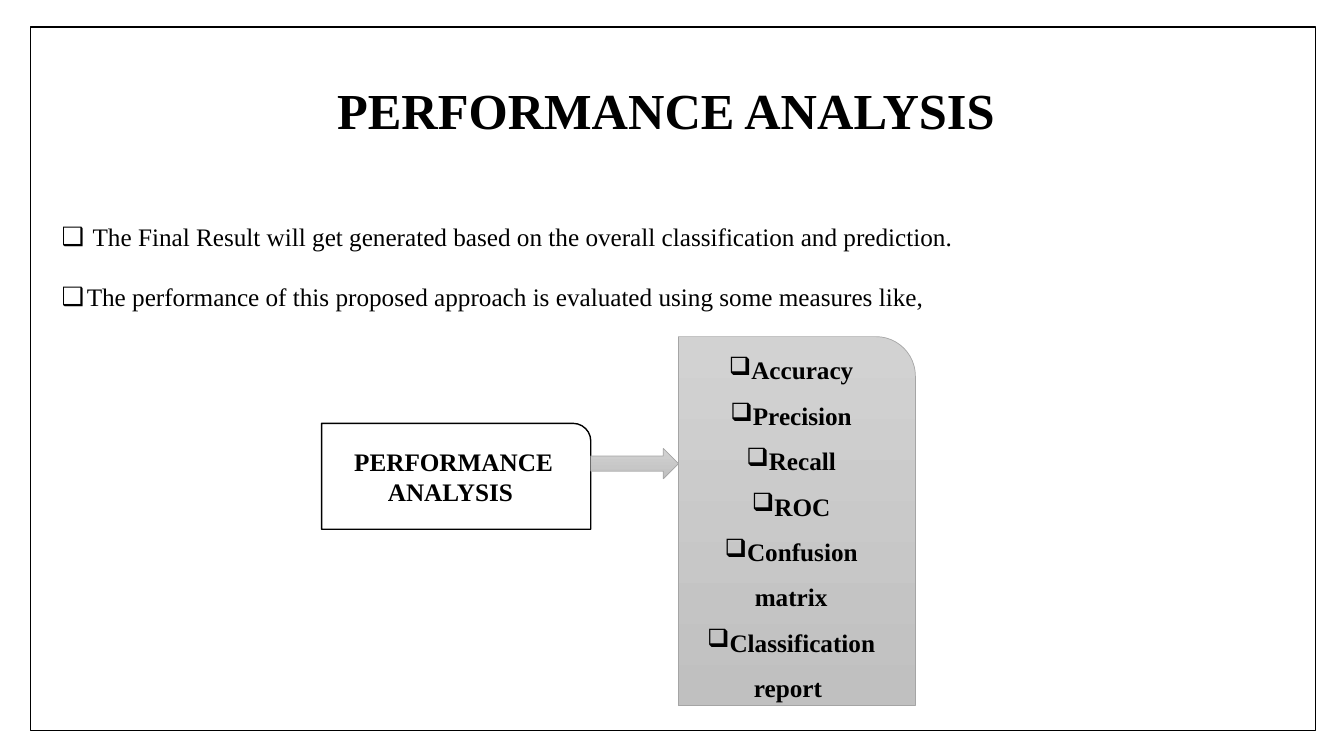
"""Build the performance analysis slide."""
from lxml import etree
from pptx import Presentation, util as u
from pptx.dml.color import RGBColor
from pptx.enum import shapes, text
from pptx.oxml import ns

COLORS = {"ink": "000000", "paper": "FFFFFF", "edge": "A5A5A5",
          "light": "D2D2D2", "dark": "C0C0C0"}
BULLET = "❑"
POINTS = [
    " The Final Result will get generated based on the overall classification and prediction. ",
    "The performance of this proposed approach is evaluated using some measures like,",
]
MEASURES = ["Accuracy", "Precision", "Recall", "ROC",
            "Confusion matrix", "Classification report "]


def color(name):
    return RGBColor.from_string(COLORS[name])


class Deck:
    """Holds the style and the current slide; lengths are percent of its size."""

    font = "Times New Roman"

    def __init__(self):
        self.prs = Presentation()
        self.prs.slide_width, self.prs.slide_height = u.Inches(13.33), u.Inches(7.5)
        self.s = self.prs.slides.add_slide(self.prs.slide_layouts[1])

    def box(self, x, y, w, h):
        sw, sh = self.prs.slide_width, self.prs.slide_height
        return [int(v * side / 100) for v, side in ((x, sw), (y, sh), (w, sw), (h, sh))]

    def label(self, sp, lines, size, align, anchor, bold=False, spacing=1.0,
              before=0, bullet=False, indent=0):
        tf = sp.text_frame
        tf.text = "\n".join(lines)
        tf.word_wrap, tf.auto_size = True, text.MSO_AUTO_SIZE.NONE
        tf.vertical_anchor = anchor
        for p in tf.paragraphs:
            p.alignment, p.line_spacing, p.space_before = align, spacing, u.Pt(before)
            if bullet:
                ppr = p._p.get_or_add_pPr()
                ppr.set("marL", str(u.Inches(indent)))
                ppr.set("indent", str(-u.Inches(indent)))
                etree.SubElement(ppr, ns.qn("a:buChar"), char=BULLET)
            for r in p.runs:
                r.font.name, r.font.size, r.font.bold = self.font, u.Pt(size), bold
                r.font.color.rgb = color("ink")

    def placeholder(self, index, area, lines, size, align, anchor, **style):
        sp = self.s.placeholders[index]
        sp.left, sp.top, sp.width, sp.height = self.box(*area)
        self.label(sp, lines, size, align, anchor, **style)

    def shape(self, kind, area, fill=None, line="ink", width=1.0):
        sp = self.s.shapes.add_shape(kind, *self.box(*area))
        sp.shadow.inherit = False
        sp.line.color.rgb, sp.line.width = color(line), u.Pt(width)
        if fill is None:
            sp.fill.background()
        elif fill == "gradient":
            sp.fill.gradient()
            sp.fill.gradient_angle = 270
            for stop, name in zip(sp.fill.gradient_stops, ("light", "dark")):
                stop.color.rgb = color(name)
        else:
            sp.fill.solid()
            sp.fill.fore_color.rgb = color(fill)
        return sp


def main():
    deck = Deck()
    kinds, align, anchor = shapes.MSO_SHAPE, text.PP_ALIGN, text.MSO_ANCHOR
    gray = {"fill": "gradient", "line": "edge", "width": 0.5}
    source_x, source_w, list_x = 23.93, 20.03, 50.48
    arrow_x = source_x + source_w

    deck.placeholder(0, (6.9, 5.33, 86.25, 19.33), ["PERFORMANCE ANALYSIS "], 36,
                     align.CENTER, anchor.MIDDLE, bold=True, spacing=0.9)
    deck.placeholder(1, (3.83, 26.67, 94.05, 70), POINTS, 18, align.JUSTIFY,
                     anchor.TOP, spacing=1.5, before=10, bullet=True, indent=0.25)
    deck.shape(kinds.RECTANGLE, (2.25, 3.6, 95.63, 93.07))

    sp = deck.shape(kinds.ROUND_1_RECTANGLE, (source_x, 56, source_w, 14), "paper")
    deck.label(sp, ["PERFORMANCE ANALYSIS "], 18, align.CENTER, anchor.MIDDLE, bold=True)
    sp = deck.shape(kinds.ROUND_1_RECTANGLE, (list_x, 44.53, 17.63, 48.8), **gray)
    deck.label(sp, MEASURES, 18, align.CENTER, anchor.MIDDLE,
               bold=True, spacing=1.5, bullet=True)
    deck.shape(kinds.RIGHT_ARROW, (arrow_x, 59.33, list_x - arrow_x, 4), **gray)
    deck.prs.save("out.pptx")


if __name__ == "__main__":
    main()
